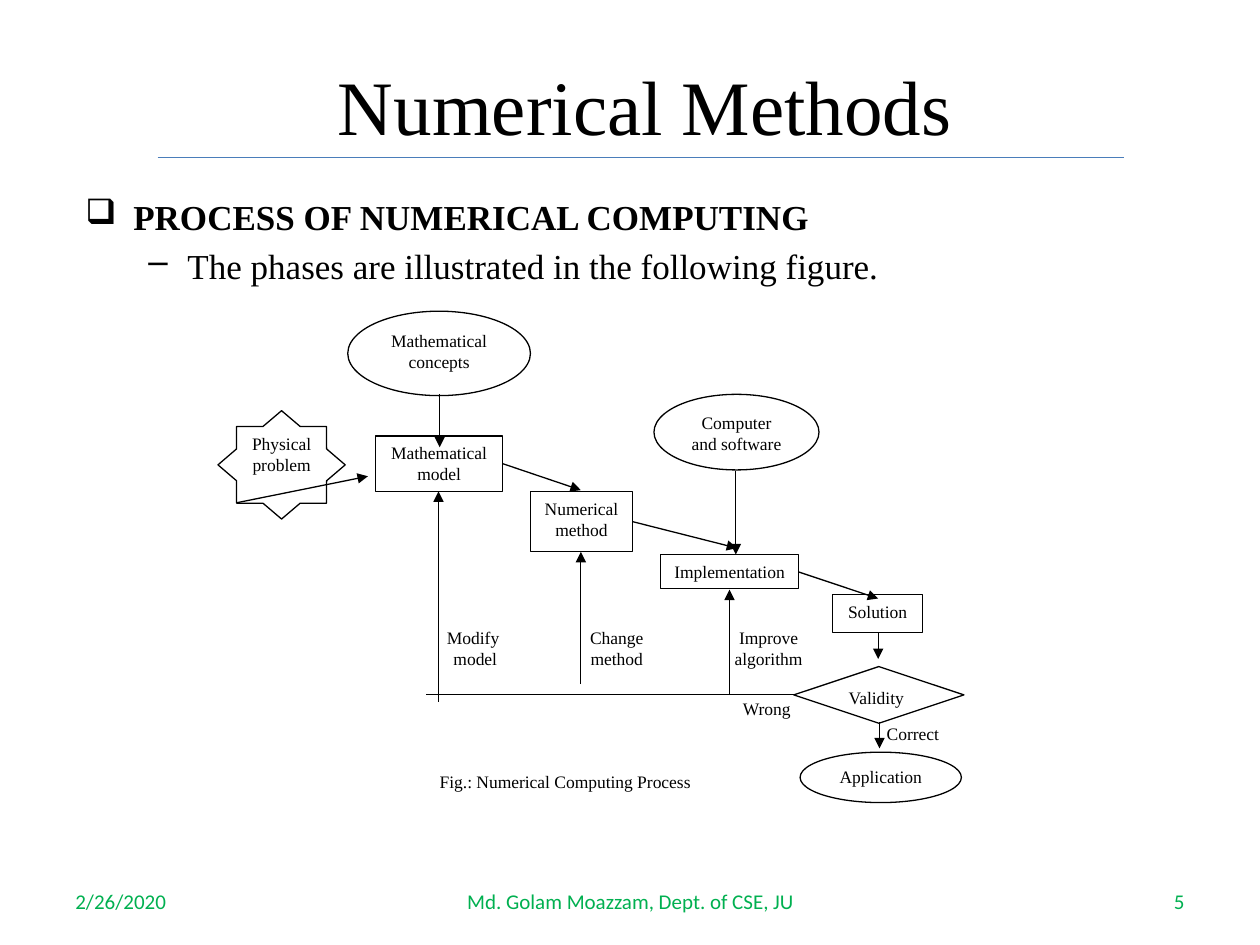
from lxml.etree import SubElement
from pptx import Presentation
from pptx.dml.color import RGBColor as Rgb
from pptx.enum.shapes import MSO_CONNECTOR as Link, MSO_SHAPE as Shape
from pptx.enum.text import MSO_ANCHOR as Anchor, PP_ALIGN as Align
from pptx.oxml.ns import qn
from pptx.util import Cm, Pt

CM_PER_INCH = 2.54
COLOURS = {"ink": "000000", "rule": "4A7DBA", "footer": "00B050"}


def length(inches):
    return Cm(inches * CM_PER_INCH)


class SlideBuilder:
    base = {"name": "Times New Roman", "size": Pt(10), "bold": False}
    line_width = Pt(0.75)

    def __init__(self, page):
        self.page = page

    def colour(self, key):
        return Rgb.from_string(COLOURS[key])

    def set_text(self, box, text, align=Align.CENTER, anchor=Anchor.TOP,
                 margin=0.1, colour="ink", **font):
        frame = box.text_frame
        layout = {
            "word_wrap": True,
            "vertical_anchor": anchor,
            "margin_left": length(margin),
            "margin_right": length(margin),
            "margin_top": length(0.05),
            "margin_bottom": length(0.05),
        }
        for name, value in layout.items():
            setattr(frame, name, value)
        for index, words in enumerate(text.split("\n")):
            para = frame.add_paragraph() if index else frame.paragraphs[0]
            para.alignment = align
            span = para.add_run()
            span.text = words
            for name, value in {**self.base, **font}.items():
                setattr(span.font, name, value)
            span.font.color.rgb = self.colour(colour)
        return frame.paragraphs

    def text(self, place, text, **style):
        box = self.page.shapes.add_textbox(*map(length, place))
        return self.set_text(box, text, **style)

    def node(self, kind, place, text, adjust=None, **style):
        box = self.page.shapes.add_shape(kind, *map(length, place))
        box.shadow.inherit = False
        box.fill.background()
        box.line.color.rgb = self.colour("ink")
        box.line.width = self.line_width
        if adjust is not None:
            box.adjustments[0] = adjust
        self.set_text(box, text, **style)

    def line(self, start, end, colour="ink", arrow=False):
        link = self.page.shapes.add_connector(
            Link.STRAIGHT, *map(length, start + end))
        link.line.color.rgb = self.colour(colour)
        link.line.width = self.line_width
        props = link._element.spPr
        if arrow:
            SubElement(props.get_or_add_ln(), qn("a:tailEnd"), type="triangle")
        SubElement(props, qn("a:effectLst"))

    def bullet(self, para, mark, indent, hanging, level=0):
        para.level = level
        props = para._p.get_or_add_pPr()
        props.set("marL", str(length(indent)))
        props.set("indent", str(-length(hanging)))
        SubElement(props, qn("a:buChar"), char=mark)


def main():
    deck = Presentation()
    deck.slide_width, deck.slide_height = length(10), length(7.5)
    slide = SlideBuilder(deck.slides.add_slide(deck.slide_layouts[6]))

    slide.text((1.33, 0.38, 7.58, 0.87), "Numerical Methods",
               size=Pt(44), anchor=Anchor.BOTTOM)
    slide.line((1.25, 1.25), (8.92, 1.25), colour="rule")

    heading, detail = slide.text(
        (0.58, 1.5, 9, 5.25),
        "PROCESS OF NUMERICAL COMPUTING\n"
        "The phases are illustrated in the following figure.",
        align=Align.LEFT, size=Pt(20))
    heading.runs[0].font.bold = True
    detail.space_before = Pt(4)
    slide.bullet(heading, "❑", 0.38, 0.38)
    slide.bullet(detail, "–", 0.81, 0.31, level=1)

    footers = [
        (0.5, 2.33, "2/26/2020", Align.LEFT),
        (3.42, 3.17, "Md. Golam Moazzam, Dept. of CSE, JU", Align.CENTER),
        (7.17, 2.33, "5", Align.RIGHT),
    ]
    for left, width, words, align in footers:
        slide.text((left, 6.95, width, 0.4), words, align=align, anchor=Anchor.MIDDLE,
                   colour="footer", name="Calibri", size=Pt(12))

    nodes = [
        (Shape.RECTANGLE, (2.98, 3.46, 1.01, 0.44), "Mathematical model"),
        (Shape.RECTANGLE, (4.21, 3.9, 0.81, 0.48), "Numerical method"),
        (Shape.RECTANGLE, (5.24, 4.4, 1.1, 0.27), "Implementation"),
        (Shape.RECTANGLE, (6.61, 4.72, 0.71, 0.3), "Solution"),
        (Shape.OVAL, (2.76, 2.47, 1.45, 0.67), "Mathematical concepts"),
        (Shape.OVAL, (5.19, 3.13, 1.31, 0.6), "Computer and software"),
        (Shape.OVAL, (6.35, 5.97, 1.28, 0.4), "Application"),
    ]
    for kind, place, words in nodes:
        slide.node(kind, place, words)
    slide.node(Shape.STAR_8_POINT, (1.73, 3.26, 1.01, 0.86), "Physical problem",
               adjust=0.383, margin=0.05)
    slide.node(Shape.DIAMOND, (6.3, 5.29, 1.35, 0.45), "Validity", align=Align.LEFT)

    arrows = [
        ((3.49, 3.13), (3.49, 3.55)),
        ((1.88, 3.99), (2.92, 3.78)),
        ((3.99, 3.68), (4.61, 3.89)),
        ((5.02, 4.14), (5.85, 4.35)),
        ((6.34, 4.54), (6.97, 4.75)),
        ((5.84, 3.74), (5.84, 4.4)),
        ((6.97, 5.02), (6.97, 5.23)),
        ((6.98, 5.73), (6.98, 5.94)),
        ((3.48, 5.57), (3.48, 3.9)),
        ((4.61, 5.43), (4.61, 4.38)),
        ((5.79, 5.51), (5.79, 4.68)),
    ]
    for start, end in arrows:
        slide.line(start, end, arrow=True)
    slide.line((6.3, 5.51), (3.38, 5.51))

    labels = [
        ((3.42, 4.93, 0.67, 0.44), "Modify\n model"),
        ((4.56, 4.93, 0.67, 0.44), "Change method"),
        ((5.72, 4.93, 0.76, 0.44), "Improve algorithm"),
        ((6.91, 5.69, 0.67, 0.26), "Correct"),
        ((5.75, 5.49, 0.67, 0.26), "Wrong"),
        ((3.33, 6.07, 2.31, 0.31), "Fig.: Numerical Computing Process"),
    ]
    for place, words in labels:
        slide.text(place, words)

    deck.save("out.pptx")


if __name__ == "__main__":
    main()
